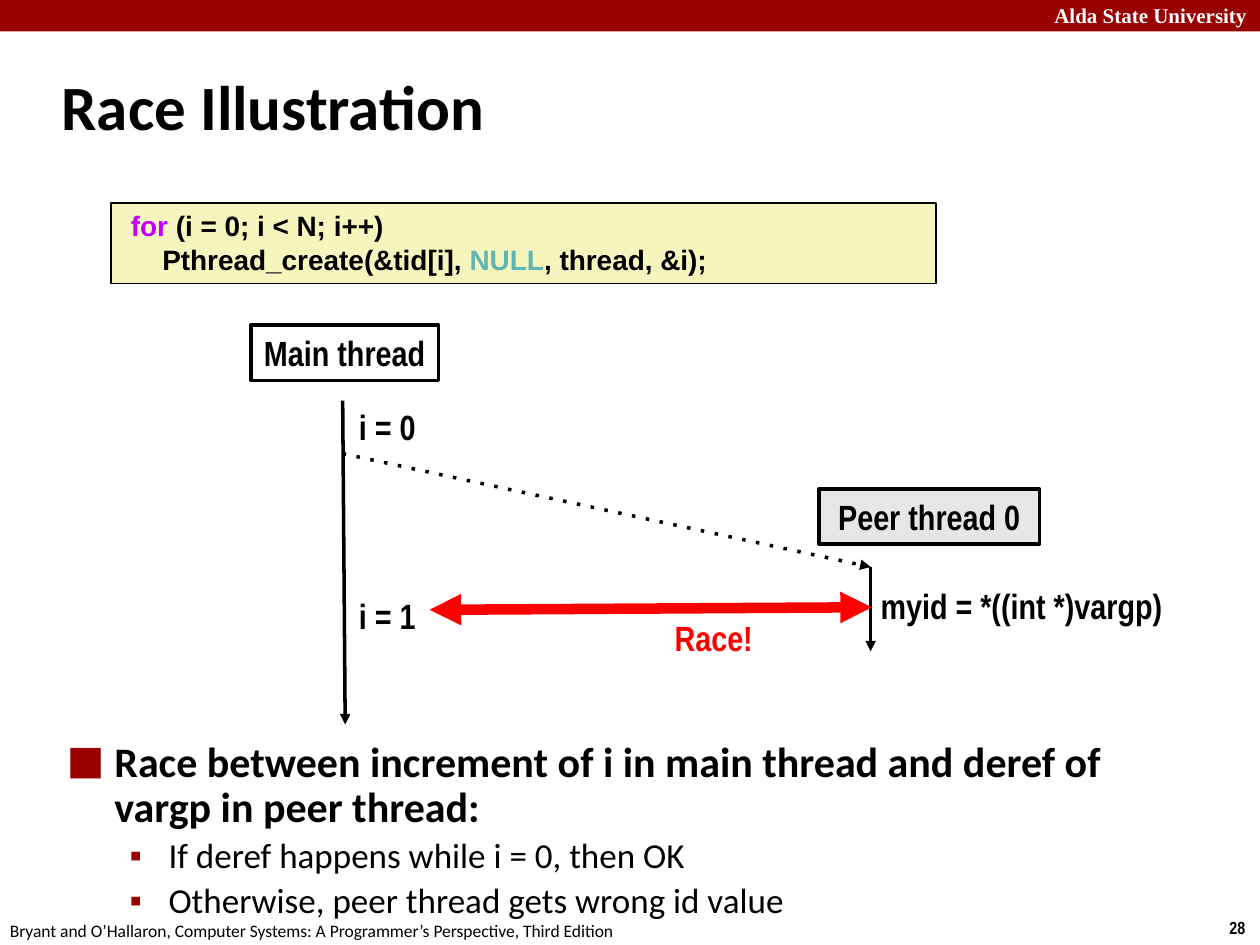
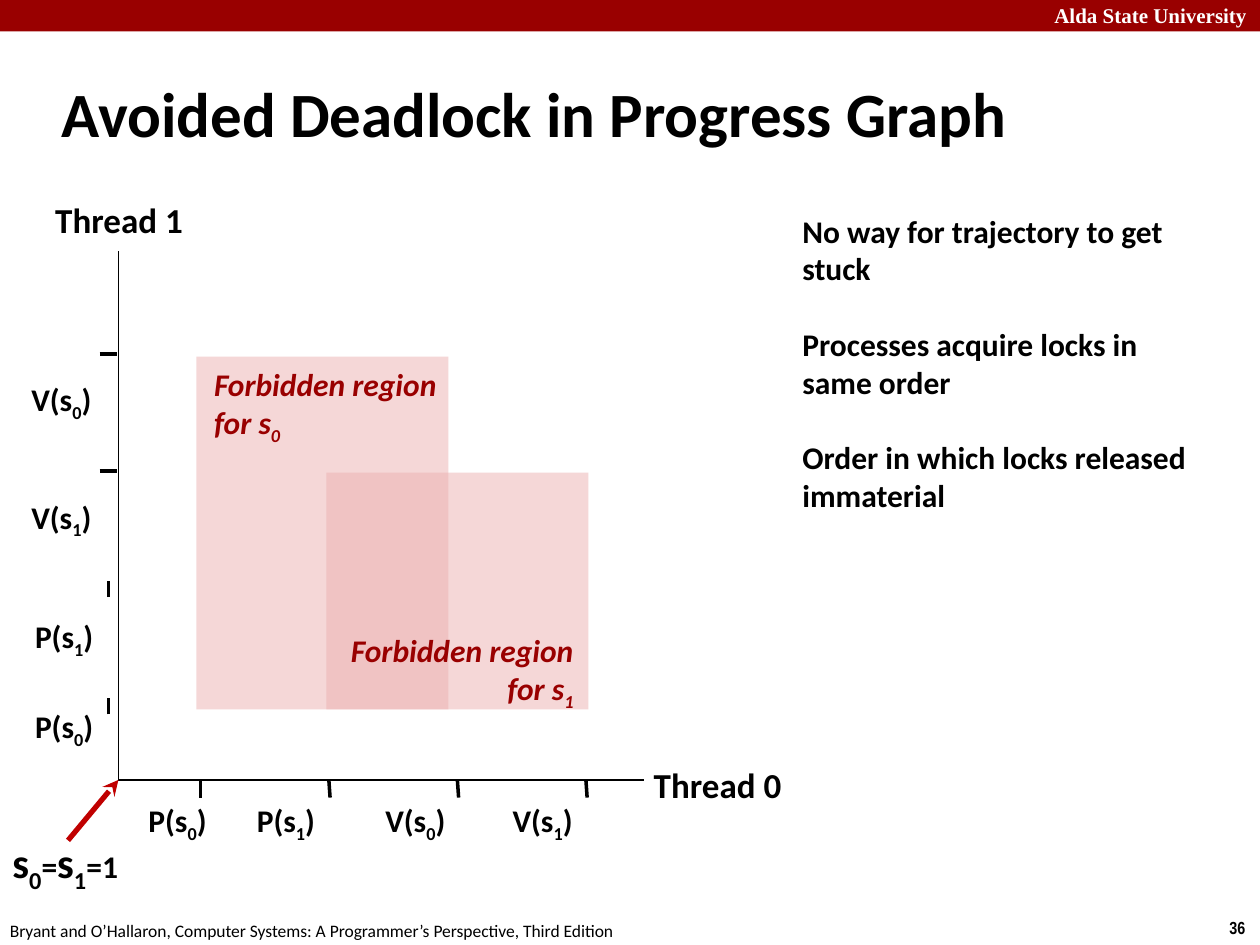
from collections import namedtuple
from dataclasses import dataclass

from pptx import Presentation
from pptx import util as u
from pptx.dml.color import RGBColor
from pptx.enum import shapes, text
from pptx.oxml import ns, xmlchemy

# The slide is a grid of 100 columns by 75 rows
COLUMNS, ROWS = 100, 75
CELL = u.Inches(0.1)


@dataclass(frozen=True)
class Theme:
    crimson: str = "990000"
    black: str = "000000"
    white: str = "FFFFFF"
    red: str = "FF0000"
    pointer: str = "C00000"
    peer: str = "E6E6E6"
    code_fill: str = "F6F5BD"
    keyword: str = "C200FF"
    constant: str = "61B6B4"
    region: str = "EBAFAF"

    def style(self, name, size, color=None, bold=True, **extra):
        return {"name": name, "size": size, "color": color or self.black,
                "bold": bold, **extra}


THEME = Theme()
TITLE = THEME.style("Calibri", 36)
HEADER = THEME.style("Times New Roman", 12, THEME.white)
PAGE = THEME.style("Arial Narrow", 10)
FOOTER = THEME.style("Calibri", 10, bold=False)
THREAD = THEME.style("Arial Narrow", 20)
CODE = THEME.style("Arial", 16)
POINT = THEME.style("Calibri", 24)
SUBPOINT = THEME.style("Calibri", 20, bold=False)
AXIS = THEME.style("Calibri", 20)
LABEL = THEME.style("Calibri", 18)
FORBIDDEN = THEME.style("Calibri", 18, THEME.crimson, italic=True)

LEFT, CENTER, RIGHT = text.PP_ALIGN.LEFT, text.PP_ALIGN.CENTER, text.PP_ALIGN.RIGHT
MIDDLE = text.MSO_ANCHOR.MIDDLE
LABEL_MARGINS = (1, 0.5, 0, 0.5)


class Box(namedtuple("Box", "left top width height")):
    def inner(self, left, top, width, height):
        return Box(self.left + left, self.top + top, width, height)

    def point(self, across, down):
        return self.left + across, self.top + down

    def lengths(self):
        return [cells(value) for value in self]


def cells(count):
    return round(count * CELL)


def add_child(parent, tag, **attributes):
    child = xmlchemy.OxmlElement(tag)
    for key, value in attributes.items():
        child.set(key, value)
    parent.append(child)
    return child


# ---- Text ----
def subscripted(words, **changes):
    """Turn 's~0' into runs; the sign after each ~ is a subscript."""
    first, *others = words.split("~")
    runs = [(first, changes)]
    for other in others:
        runs.append((other[0], {**changes, "subscript": True}))
        if other[1:]:
            runs.append((other[1:], changes))
    return runs


def add_run(paragraph, words, style):
    run = paragraph.add_run()
    run.text = words
    values = dict(style)
    run.font.color.rgb = RGBColor.from_string(values.pop("color"))
    if values.pop("subscript", False):
        run.font._element.set("baseline", "-25000")
    values["size"] = u.Pt(values["size"])
    for key, value in values.items():
        setattr(run.font, key, value)


def fill_text(shape, paragraphs, style, anchor=text.MSO_ANCHOR.TOP,
              margins=(1, 0.5, 1, 0.5), **layout):
    frame = shape.text_frame
    sides = zip(("left", "top", "right", "bottom"), margins)
    settings = {"word_wrap": True, "vertical_anchor": anchor,
                **{f"margin_{side}": cells(gap) for side, gap in sides}}
    for key, value in settings.items():
        setattr(frame, key, value)
    layout.setdefault("alignment", LEFT)
    for index, runs in enumerate(paragraphs):
        paragraph = frame.add_paragraph() if index else frame.paragraphs[0]
        for key, value in layout.items():
            setattr(paragraph, key, value)
        for words, changes in [(runs, {})] if isinstance(runs, str) else runs:
            add_run(paragraph, words, {**style, **changes})
    return frame


def add_text(slide, box, paragraphs, style, **options):
    return fill_text(slide.shapes.add_textbox(*box.lengths()), paragraphs, style, **options)


def add_label(slide, box, words, style, **options):
    return add_text(slide, box, [subscripted(words)], style, margins=LABEL_MARGINS, **options)


def indent(paragraph, left, hanging=0):
    properties = paragraph._p.get_or_add_pPr()
    properties.set("marL", str(cells(left)))
    properties.set("indent", str(-cells(hanging)))
    return properties


def add_bullet(paragraph, sign, left, hanging, percent=100):
    properties = indent(paragraph, left, hanging)
    color = add_child(properties, "a:buClr")
    add_child(color, "a:srgbClr", val=THEME.crimson)
    add_child(properties, "a:buSzPct", val=str(percent * 1000))
    add_child(properties, "a:buFont", typeface="Arial")
    add_child(properties, "a:buChar", char=sign)


# ---- Shapes and lines ----
def add_rectangle(slide, box, fill=None, line=None, opacity=None):
    shape = slide.shapes.add_shape(shapes.MSO_SHAPE.RECTANGLE, *box.lengths())
    shape.shadow.inherit = False
    if fill:
        shape.fill.solid()
        shape.fill.fore_color.rgb = RGBColor.from_string(fill)
    else:
        shape.fill.background()
    if line:
        shape.line.color.rgb = RGBColor.from_string(THEME.black)
        shape.line.width = u.Pt(line)
    else:
        shape.line.fill.background()
    if opacity:
        color = shape._element.spPr.find(".//" + ns.qn("a:srgbClr"))
        add_child(color, "a:alpha", val=str(opacity * 1000))
    return shape


def add_line(slide, start, end, width=2, color=THEME.black, dash=None, head=None, tail=None):
    ends = [cells(value) for value in (*start, *end)]
    connector = slide.shapes.add_connector(shapes.MSO_CONNECTOR.STRAIGHT, *ends)
    connector.line.color.rgb = RGBColor.from_string(color)
    connector.line.width = u.Pt(width)
    line = connector.line._get_or_add_ln()
    if dash:
        add_child(line, "a:prstDash", val=dash)
    for tag, arrow in (("a:headEnd", head), ("a:tailEnd", tail)):
        if arrow:
            add_child(line, tag, type=arrow)
    add_child(connector._element.spPr, "a:effectLst")


# ---- Shared frame: band, header, title, footer, page number ----
def add_frame(presentation, title, title_box, number):
    slide = presentation.slides.add_slide(presentation.slide_layouts[6])
    add_rectangle(slide, Box(0, 0, COLUMNS, 2.5), THEME.crimson)
    add_label(slide, Box(82.7, -0.3, 17.3, 3), "Alda State University", HEADER)
    add_label(slide, Box(96.6, 72.3, 3.4, 2.7), number, PAGE)
    add_label(slide, Box(-0.2, 72.5, 53, 2.7),
              "Bryant and O’Hallaron, Computer Systems: A Programmer’s Perspective, "
              "Third Edition", FOOTER)
    add_text(slide, title_box, [title], TITLE, anchor=MIDDLE)
    return slide


# ---- Race slide ----
def add_code(slide, box):
    shape = add_rectangle(slide, box, THEME.code_fill, line=1)
    frame = fill_text(shape, [
        [("for", {"color": THEME.keyword}), (" (i = 0; i < N; i++)", {})],
        [("Pthread_create(&tid[i], ", {}), ("NULL", {"color": THEME.constant}),
         (", thread, &i);", {})],
    ], CODE)
    for paragraph, left in zip(frame.paragraphs, (0.6, 3.1)):
        indent(paragraph, left)


def add_threads(slide, box):
    # Thread names
    for words, place, fill in (("Main thread", (0, 0, 14.9, 4.4), None),
                               ("Peer thread 0", (45.1, 13, 17.5, 4.4), THEME.peer)):
        shape = add_rectangle(slide, box.inner(*place), fill, line=2)
        fill_text(shape, [words], THREAD, anchor=MIDDLE, alignment=CENTER,
                  margins=(0.5, 0.5, 0.5, 0.5))
    # Time lines and the creation of the peer
    peer_start = box.point(49.2, 19.2)
    add_line(slide, box.point(7.3, 6), box.point(7.5, 31.7), tail="triangle")
    add_line(slide, peer_start, box.point(49.2, 25.9), tail="triangle")
    add_line(slide, box.point(7.3, 10.2), peer_start, dash="dot", tail="triangle")
    # Events
    for words, left, top, width in (("i = 0", 7.6, 5.9, 7.5), ("i = 1", 7.6, 20.9, 7.5),
                                    ("myid = *((int *)vargp)", 49, 20.1, 25)):
        add_label(slide, box.inner(left, top, width, 4.4), words, THREAD)
    # Race
    add_line(slide, box.point(14.2, 22.6), box.point(49.3, 22.4), width=6,
             color=THEME.red, head="triangle", tail="triangle")
    add_text(slide, box.inner(31.6, 22.6, 10.3, 4.4), ["Race!"],
             {**THREAD, "color": THEME.red}, alignment=CENTER)


def add_points(slide, box):
    frame = add_text(slide, box, [
        "Race between increment of i in main thread and deref of vargp in peer thread:",
        [("If deref happens while i = 0, then OK", SUBPOINT)],
        [("Otherwise, peer thread gets wrong id value", SUBPOINT)],
    ], POINT, line_spacing=0.9)
    main_point, *details = frame.paragraphs
    add_bullet(main_point, "■", 3.8, 3.8, percent=150)
    for paragraph in details:
        paragraph.level = 1
        paragraph.space_before = u.Pt(4)
        add_bullet(paragraph, "▪", 8.1, 3.1)


def add_race_slide(presentation):
    slide = add_frame(presentation, "Race Illustration", Box(3.9, 4.2, 91.9, 8.3), "28")
    add_threads(slide, Box(19.9, 25.8, 73.6, 31.7))
    add_code(slide, Box(8.8, 16.1, 65.5, 6.4))
    add_points(slide, Box(4.3, 58.3, 86.4, 16.7))


# ---- Progress graph slide ----
def add_axes(slide, box):
    origin = box.point(0, box.height)
    add_line(slide, origin, box.point(box.width, box.height), width=1)
    add_line(slide, origin, box.point(0, 0), width=1)
    add_label(slide, box.inner(41.5, 40.2, 13, 4.4), "Thread 0", AXIS, anchor=MIDDLE)
    add_label(slide, box.inner(-6, -4.7, 13, 4.4), "Thread 1", AXIS, anchor=MIDDLE)
    # Steps of thread 0
    steps = ("P(s~0)", 1.4), ("P(s~1)", 10), ("V(s~0)", 20.2), ("V(s~1)", 30.3)
    for index, (words, left) in enumerate(steps):
        across = 6.5 + 10.2 * index
        slant = 0.1 if index else 0
        add_line(slide, box.point(across, box.height),
                 box.point(across + slant, box.height + 1.4))
        add_label(slide, box.inner(left, 43.4, 7, 4), words, LABEL, anchor=MIDDLE)
    # Steps of thread 1, upwards
    steps = ("P(s~0)", 35.9), ("P(s~1)", 28.8), ("V(s~1)", 19.3), ("V(s~0)", 10)
    for index, (words, top) in enumerate(steps):
        down = 36.1 - 9.3 * index
        upright = words.startswith("P")
        if upright:
            add_line(slide, box.point(-0.8, down + 0.7), box.point(-0.8, down - 0.6))
        else:
            add_line(slide, box.point(-1.5, down), box.point(-0.1, down))
        add_label(slide, box.inner(-7.6 if upright else -7.9, top, 7, 4), words, LABEL,
                  anchor=MIDDLE)
    # Starting state
    start = [*subscripted("s~0", size=24), ("=", {}), *subscripted("s~1", size=24), ("=1", {})]
    add_text(slide, box.inner(-9.4, 46.8, 10.8, 4), [start], LABEL, anchor=MIDDLE,
             margins=(1, 0, 0, 0))
    add_line(slide, box.point(-4, 46.8), origin, width=3, color=THEME.pointer, tail="stealth")


def add_regions(slide, box):
    for place in ((6.2, 8.4, 20, 28), (16.5, 17.6, 20.8, 18.8)):
        add_rectangle(slide, box.inner(*place), THEME.region, opacity=49)
    captions = (("for s~0", (6.6, 8.6), LEFT), ("for s~1", (16.6, 29.7), RIGHT))
    for words, corner, alignment in captions:
        add_text(slide, box.inner(*corner, 20.5, 7.1),
                 ["Forbidden region", subscripted(words)], FORBIDDEN, alignment=alignment)


def add_remarks(slide, box):
    frame = add_text(slide, box, [
        "No way for trajectory to get stuck",
        "Processes acquire locks in same order",
        "Order in which locks released immaterial",
    ], LABEL, margins=(1, 0, 1, 0))
    for paragraph in frame.paragraphs[1:]:
        paragraph.space_before = u.Pt(21.6)


def add_graph_slide(presentation):
    slide = add_frame(presentation, "Avoided Deadlock in Progress Graph",
                      Box(3.9, 4.8, 83, 8.3), "36")
    graph = Box(9.4, 19.9, 41.7, 42)
    add_axes(slide, graph)
    add_regions(slide, graph)
    add_remarks(slide, Box(62.7, 16.8, 34, 24))


def main():
    presentation = Presentation()
    presentation.slide_width, presentation.slide_height = cells(COLUMNS), cells(ROWS)
    add_race_slide(presentation)
    add_graph_slide(presentation)
    presentation.save("out.pptx")


if __name__ == "__main__":
    main()
